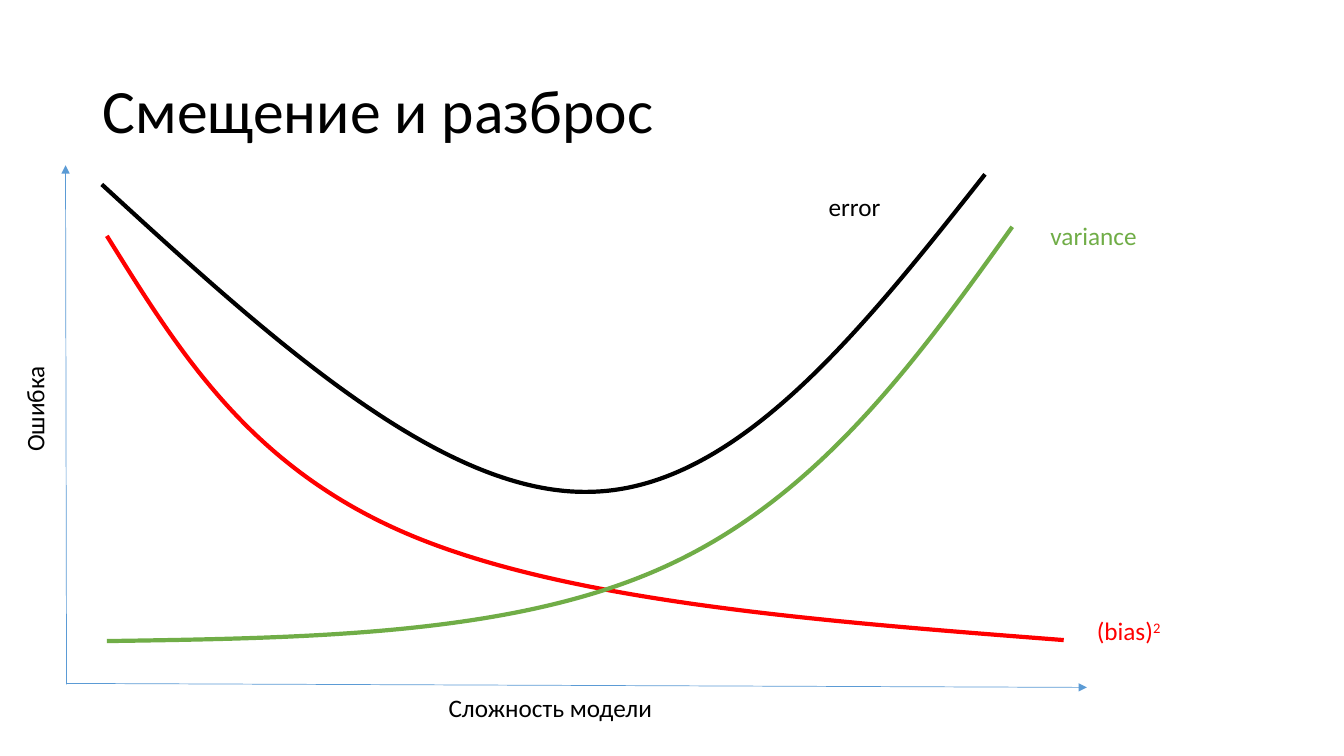
import dataclasses

import pptx
import pptx.dml.color
import pptx.enum.shapes
import pptx.enum.text
import pptx.oxml
import pptx.oxml.ns
import pptx.util
from pptx.util import Inches


@dataclasses.dataclass(frozen=True)
class Theme:
    """Colours, font and sizes of the slide."""
    font: str = "Calibri"
    ink: str = "000000"
    axis: str = "5B9BD5"
    bias: str = "FF0000"
    variance: str = "70AD47"
    title_size: float = 44
    label_size: float = 18
    axis_width: float = 0.5
    curve_width: float = 3


THEME = Theme()


def rgb(value):
    """Return the colour for a hex string."""
    return pptx.dml.color.RGBColor.from_string(value)


def add_text(slide, box, text, size=THEME.label_size, color=THEME.ink, superscript="",
             anchor=pptx.enum.text.MSO_ANCHOR.TOP, spacing=1.0, vertical=False):
    """Place a text with an optional superscript in a box."""
    frame = slide.shapes.add_textbox(*map(Inches, box)).text_frame
    frame.word_wrap = True
    frame.vertical_anchor = anchor
    if vertical:
        frame._txBody.bodyPr.set("vert", "vert270")
    paragraph = frame.paragraphs[0]
    paragraph.line_spacing = spacing
    for part, raised in ((text, False), (superscript, True)):
        if part:
            run = paragraph.add_run()
            run.text = part
            run.font.name = THEME.font
            run.font.size = pptx.util.Pt(size)
            run.font.color.rgb = rgb(color)
            if raised:
                run.font._element.set("baseline", "30000")


def add_axis(slide, start, end):
    """Draw an axis with an arrowhead at its end."""
    axis = slide.shapes.add_connector(
        pptx.enum.shapes.MSO_CONNECTOR.STRAIGHT, *map(Inches, start + end))
    axis.line.color.rgb = rgb(THEME.axis)
    axis.line.width = pptx.util.Pt(THEME.axis_width)
    pptx.oxml.ns.qn("a:ln")
    line = axis.line._get_or_add_ln()
    line.append(pptx.oxml.parse_xml(
        f'<a:tailEnd {pptx.oxml.ns.nsdecls("a")} type="triangle"/>'))
    axis._element.spPr.append(pptx.oxml.parse_xml(
        f'<a:effectLst {pptx.oxml.ns.nsdecls("a")}/>'))


def add_curve(slide, points, color):
    """Draw a smooth curve from a start point and triples of Bezier points."""
    start, *rest = [(Inches(x), Inches(y)) for x, y in points]
    builder = slide.shapes.build_freeform(*start)
    builder.add_line_segments(rest, close=False)
    curve = builder.convert_to_shape()
    curve.shadow.inherit = False
    curve.fill.background()
    curve.line.color.rgb = rgb(color)
    curve.line.width = pptx.util.Pt(THEME.curve_width)
    segments = list(curve._element.iter(pptx.oxml.ns.qn("a:lnTo")))
    for first in range(0, len(segments), 3):
        bezier = pptx.oxml.parse_xml(f'<a:cubicBezTo {pptx.oxml.ns.nsdecls("a")}/>')
        segments[first].addprevious(bezier)
        for segment in segments[first:first + 3]:
            bezier.append(segment[0])
            segment.getparent().remove(segment)


def add_title(slide, box):
    """Place the slide title."""
    add_text(slide, box, "Смещение и разброс", size=THEME.title_size, spacing=0.9,
             anchor=pptx.enum.text.MSO_ANCHOR.MIDDLE)


def add_plot(slide, box):
    """Draw axes, error curves and labels relative to the plot box."""
    left, top, width, height = box

    def at(x, y):
        return left + x, top + y

    add_axis(slide, at(0.01, height - 0.03), at(0, 0))
    add_axis(slide, at(0.01, height - 0.04), at(width, height))
    add_text(slide, at(-0.51, 1.83) + (0.5, 1.11), "Ошибка", vertical=True)
    add_text(slide, at(3.7, height) + (2.22, 0.4), "Сложность модели")

    bias = [(0.41, 0.7), (1.12, 1.84), (1.82, 2.99), (3.4, 3.66),
            (4.98, 4.33), (7.44, 4.52), (9.9, 4.71)]
    variance = [(0.41, 4.72), (2.45, 4.69), (4.48, 4.66), (5.97, 3.97),
                (7.47, 3.28), (8.43, 1.95), (9.39, 0.61)]
    error = [(0.36, 0.19), (2.04, 1.73), (3.72, 3.26), (5.18, 3.24),
             (6.64, 3.23), (7.88, 1.66), (9.12, 0.09)]
    series = (
        (bias, THEME.bias, "(bias)", "2", (10.13, 4.42), 2.01),
        (variance, THEME.variance, "variance", "", (9.67, 0.5), 2.09),
        (error, THEME.ink, "error", "", (7.47, 0.21), 1.44),
    )
    for points, color, label, power, place, label_width in series:
        add_curve(slide, [at(*point) for point in points], color)
        add_text(slide, at(*place) + (label_width, 0.4), label,
                 color=color, superscript=power)


def main():
    """Build and save the presentation."""
    deck = pptx.Presentation()
    deck.slide_width, deck.slide_height = Inches(13.33), Inches(7.5)
    slide = deck.slides.add_slide(deck.slide_layouts[6])
    add_title(slide, (0.92, 0.4, 11.5, 1.45))
    add_plot(slide, (0.65, 1.64, 10.13, 5.18))
    deck.save("out.pptx")


if __name__ == "__main__":
    main()
